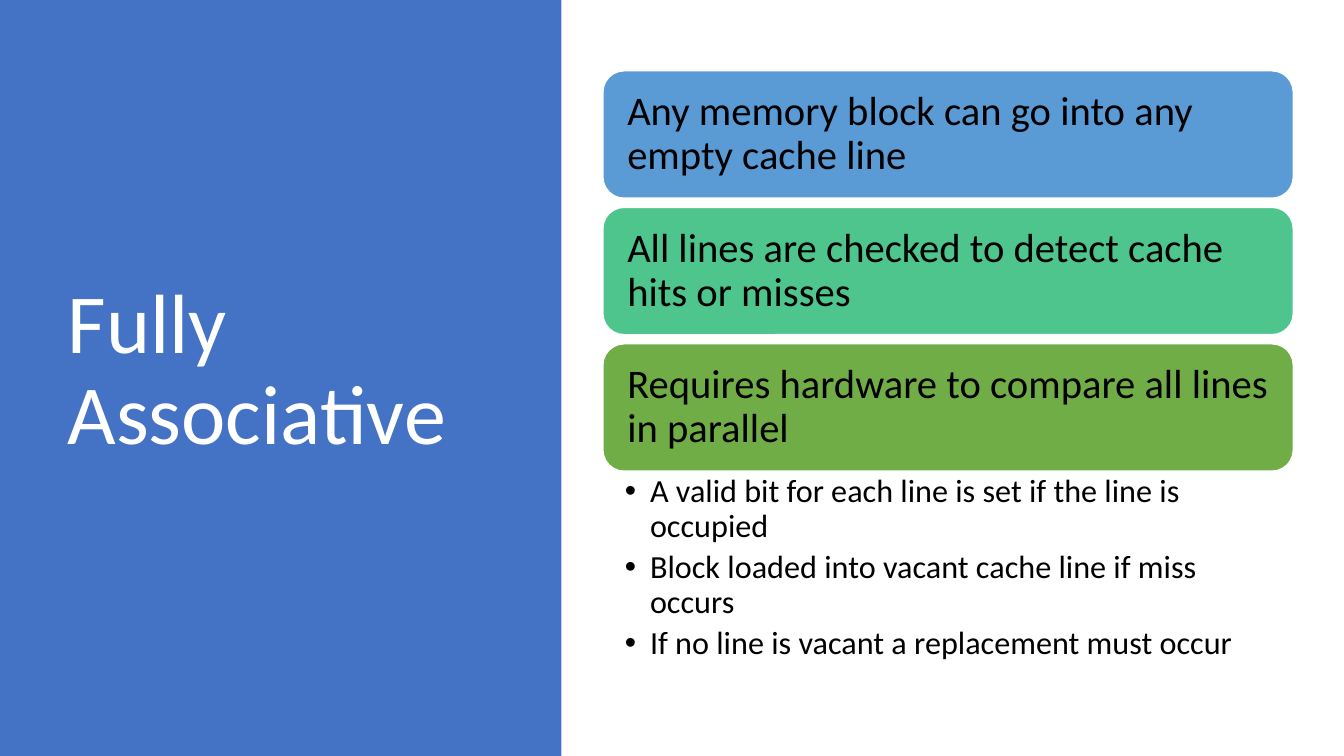
from dataclasses import dataclass

from lxml.etree import SubElement
from pptx import Presentation
from pptx.dml.color import RGBColor
from pptx.enum.shapes import MSO_SHAPE
from pptx.enum.text import MSO_ANCHOR, MSO_AUTO_SIZE, PP_ALIGN
from pptx.oxml.ns import qn
from pptx.util import Pt


@dataclass(frozen=True)
class Theme:
    font: str = "Calibri"
    panel: str = "4472C4"
    light: str = "FFFFFF"
    dark: str = "000000"
    cards: tuple = ("5B9BD5", "4DC58D", "70AD47")
    head: int = 60
    lead: int = 29
    item: int = 23


def write(frame, *lines, size, color, font, inset=(7.2, 3.6, 7.2, 3.6),
          anchor=MSO_ANCHOR.MIDDLE, after=0, indent=0):
    """Fill a text frame, one paragraph a line; an indent adds bullets."""
    frame.word_wrap = True
    frame.auto_size = MSO_AUTO_SIZE.NONE
    frame.vertical_anchor = anchor
    (frame.margin_left, frame.margin_top,
     frame.margin_right, frame.margin_bottom) = map(Pt, inset)
    for n, line in enumerate(lines):
        para = frame.add_paragraph() if n else frame.paragraphs[0]
        para.alignment = PP_ALIGN.LEFT
        para.line_spacing = 0.9
        para.space_before = Pt(0)
        para.space_after = Pt(after)
        if indent:
            para.level = 1
            props = para._p.get_or_add_pPr()
            props.set("marL", str(Pt(indent)))
            props.set("indent", str(-Pt(indent)))
            SubElement(props, qn("a:buFont"), typeface="Arial")
            SubElement(props, qn("a:buChar"), char="•")
        run = para.add_run()
        run.text = line
        run.font.name = font
        run.font.size = Pt(size)
        run.font.color.rgb = RGBColor.from_string(color)


class Deck:
    def __init__(self, theme):
        self.theme = theme
        self.file = Presentation()
        self.file.slide_width, self.file.slide_height = Pt(960), Pt(540)
        self.slide = self.file.slides.add_slide(self.file.slide_layouts[1])

    def shape(self, kind, box, fill):
        shape = self.slide.shapes.add_shape(kind, *map(Pt, box))
        shape.shadow.inherit = False
        shape.fill.solid()
        shape.fill.fore_color.rgb = RGBColor.from_string(fill)
        return shape

    def panel(self, box):
        """Draw the colour panel behind all placeholders."""
        panel = self.shape(MSO_SHAPE.RECTANGLE, box, self.theme.panel)
        panel.line.fill.background()
        self.slide.shapes.title.element.addprevious(panel.element)

    def card(self, box, fill, text):
        card = self.shape(MSO_SHAPE.ROUNDED_RECTANGLE, box, fill)
        card.line.color.rgb = RGBColor.from_string(self.theme.light)
        card.line.width = Pt(1)
        write(card.text_frame, text, size=self.theme.lead,
              color=self.theme.dark, font=self.theme.font, inset=(13,) * 4)

    def place(self, holder, box):
        holder.left, holder.top, holder.width, holder.height = map(Pt, box)
        return holder.text_frame

    def title(self, box, text):
        write(self.place(self.slide.shapes.title, box), text,
              size=self.theme.head, color=self.theme.light,
              font=self.theme.font)

    def list(self, box, *lines):
        write(self.place(self.slide.placeholders[1], box), *lines,
              size=self.theme.item, color=self.theme.dark,
              font=self.theme.font, inset=(15.7, 2.9, 16.4, 2.9),
              anchor=MSO_ANCHOR.TOP, after=4.6, indent=18)


def main():
    theme = Theme()
    deck = Deck(theme)
    deck.panel((0, 0, 401, 540))
    deck.title((41, 49, 299.5, 433.4), "Fully Associative")

    left, top, width, high, step = 430.6, 50.6, 493.2, 91, 97.5
    points = (
        "Any memory block can go into any empty cache line",
        "All lines are checked to detect cache hits or misses",
        "Requires hardware to compare all lines in parallel",
    )
    for n, (fill, text) in enumerate(zip(theme.cards, points)):
        deck.card((left, top + n * step, width, high), fill, text)

    deck.list(
        (left, 336.4, width, 144),
        "A valid bit for each line is set if the line is occupied",
        "Block loaded into vacant cache line if miss occurs",
        "If no line is vacant a replacement must occur",
    )
    deck.file.save("out.pptx")


if __name__ == "__main__":
    main()
